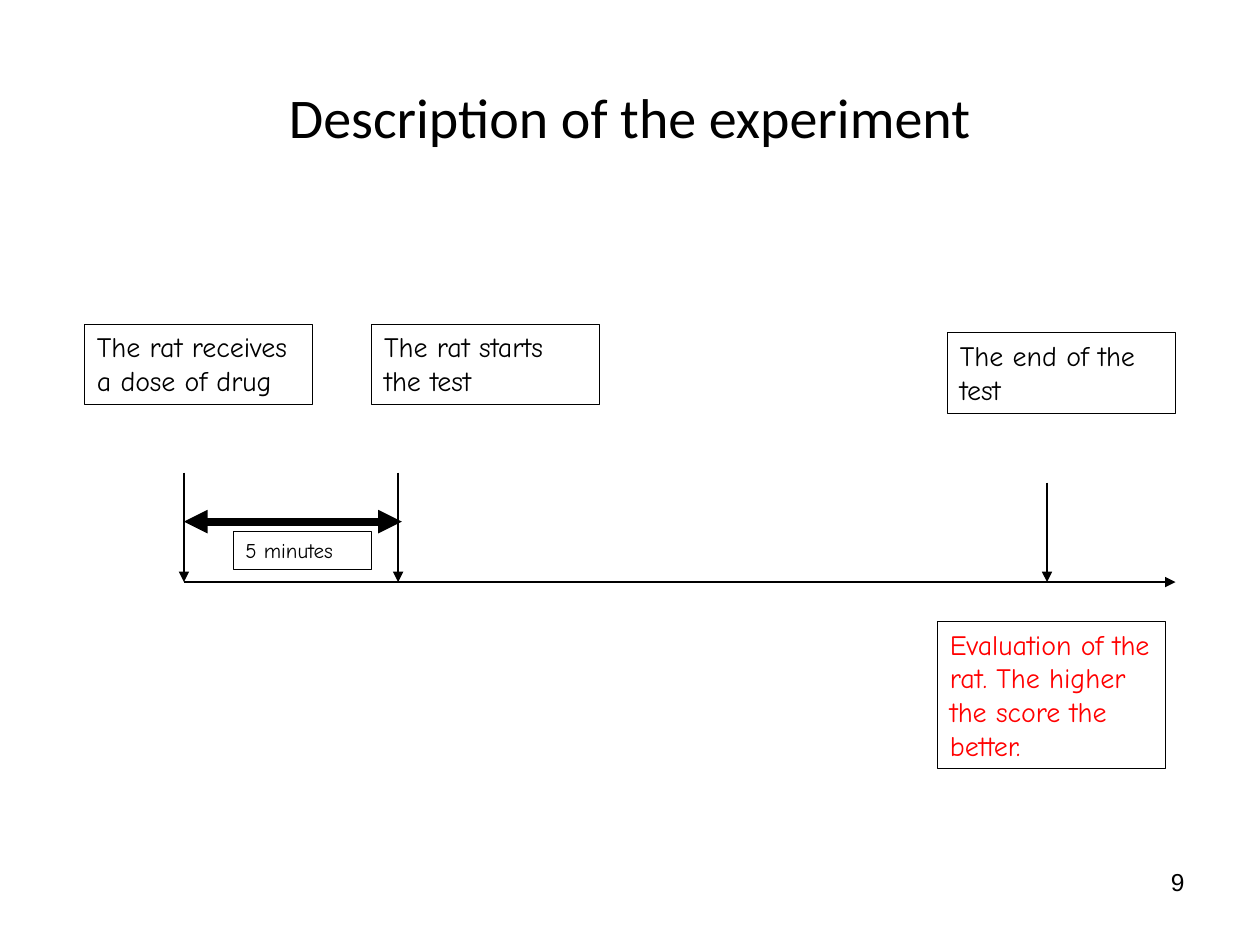
from pptx import Presentation
from pptx.util import Inches, Pt
from pptx.dml.color import RGBColor
from pptx.enum.shapes import MSO_SHAPE, MSO_CONNECTOR
from pptx.enum.text import MSO_ANCHOR, PP_ALIGN
from pptx.oxml.ns import qn
from lxml import etree

RECT, LINE = MSO_SHAPE.RECTANGLE, MSO_CONNECTOR.STRAIGHT
TOP, MID = MSO_ANCHOR.TOP, MSO_ANCHOR.MIDDLE
LEFT, MIDDLE, RIGHT = PP_ALIGN.LEFT, PP_ALIGN.CENTER, PP_ALIGN.RIGHT

THEME = {
    "ink": RGBColor(0, 0, 0),
    "alert": RGBColor(255, 0, 0),
    "title": {"name": "Calibri", "size": Pt(32), "bold": False},
    "note": {"name": "Comic Neue", "size": Pt(16)},
    "small": {"name": "Comic Neue", "size": Pt(12)},
    "page": {"name": "Arial", "size": Pt(14)},
    "frame": Pt(0.25), "thin": Pt(0.75), "thick": Pt(4.5),
}

# Content; places are columns and rows of a 100 by 75 grid
COLS, ROWS = 100, 75
TITLE, PAGE = "Description of the experiment", "9"
WIDE, TALL = 18.1, 6.4
DOSE, START, END = 14.6, 31.6, 83.1    # moments on the time axis
AXIS, STOP = 46.2, 93.3                # axis row and its right end
NOTES = [  # text, place, font, colour
    ("The rat receives a dose of drug", (6.7, 25.7, WIDE, TALL), "note", "ink"),
    ("The rat starts the test", (29.5, 25.7, WIDE, TALL), "note", "ink"),
    ("The end of the test", (75.2, 26.4, WIDE, TALL), "note", "ink"),
    ("5 minutes", (18.5, 42.2, 11, 3), "small", "ink"),
    ("Evaluation of the rat. The higher the score the better.",
     (74.4, 49.3, WIDE, 11.7), "note", "alert"),
]
MARKS = [(DOSE, 37.5), (START, 37.5), (END, 38.3)]  # moment, top row
ARROWS = [  # from, to, weight, arrowheads
    ((DOSE, AXIS), (STOP, AXIS), "thin", ["tailEnd"]),
    *[((x, y), (x, AXIS), "thin", ["tailEnd"]) for x, y in MARKS],
    ((DOSE, 41.4), (31.9, 41.4), "thick", ["headEnd", "tailEnd"]),
]

deck = Presentation()
deck.slide_width, deck.slide_height = Inches(10), Inches(7.5)
slide = deck.slides.add_slide(deck.slide_layouts[5])
shapes = slide.shapes


def grid(*cells):
    """Turn x, y (, width, height) cells into lengths."""
    units = (deck.slide_width / COLS, deck.slide_height / ROWS) * 2
    return [round(c * u) for c, u in zip(cells, units)]


def write(shape, text, font, color="ink", align=LEFT, anchor=TOP):
    frame = shape.text_frame
    frame.word_wrap, frame.vertical_anchor = True, anchor
    para = frame.paragraphs[0]
    para.text, para.alignment = text, align
    para.space_before = Pt(0)
    face = para.runs[0].font
    for key, value in THEME[font].items():
        setattr(face, key, value)
    face.color.rgb = THEME[color]


# Title
head = shapes.title
head.left, head.top, head.width, head.height = grid(5, 3, 90, 12.5)
write(head, TITLE, "title", align=MIDDLE, anchor=MID)

# Time axis, moments and the waiting span
for start, end, weight, tips in ARROWS:
    arrow = shapes.add_connector(LINE, *grid(*start), *grid(*end))
    arrow.line.color.rgb, arrow.line.width = THEME["ink"], THEME[weight]
    stroke = arrow.line._get_or_add_ln()
    for tip in tips:
        etree.SubElement(stroke, qn("a:" + tip), type="triangle")
    etree.SubElement(arrow._element.spPr, qn("a:effectLst"))

# Framed notes
for text, place, font, color in NOTES:
    box = shapes.add_shape(RECT, *grid(*place))
    box.shadow.inherit = False
    box.fill.background()
    box.line.color.rgb, box.line.width = THEME["ink"], THEME["frame"]
    write(box, text, font, color)

# Page number
write(shapes.add_textbox(*grid(71.7, 68.3, 23.3, 5.2)), PAGE, "page", align=RIGHT)

deck.save("out.pptx")
